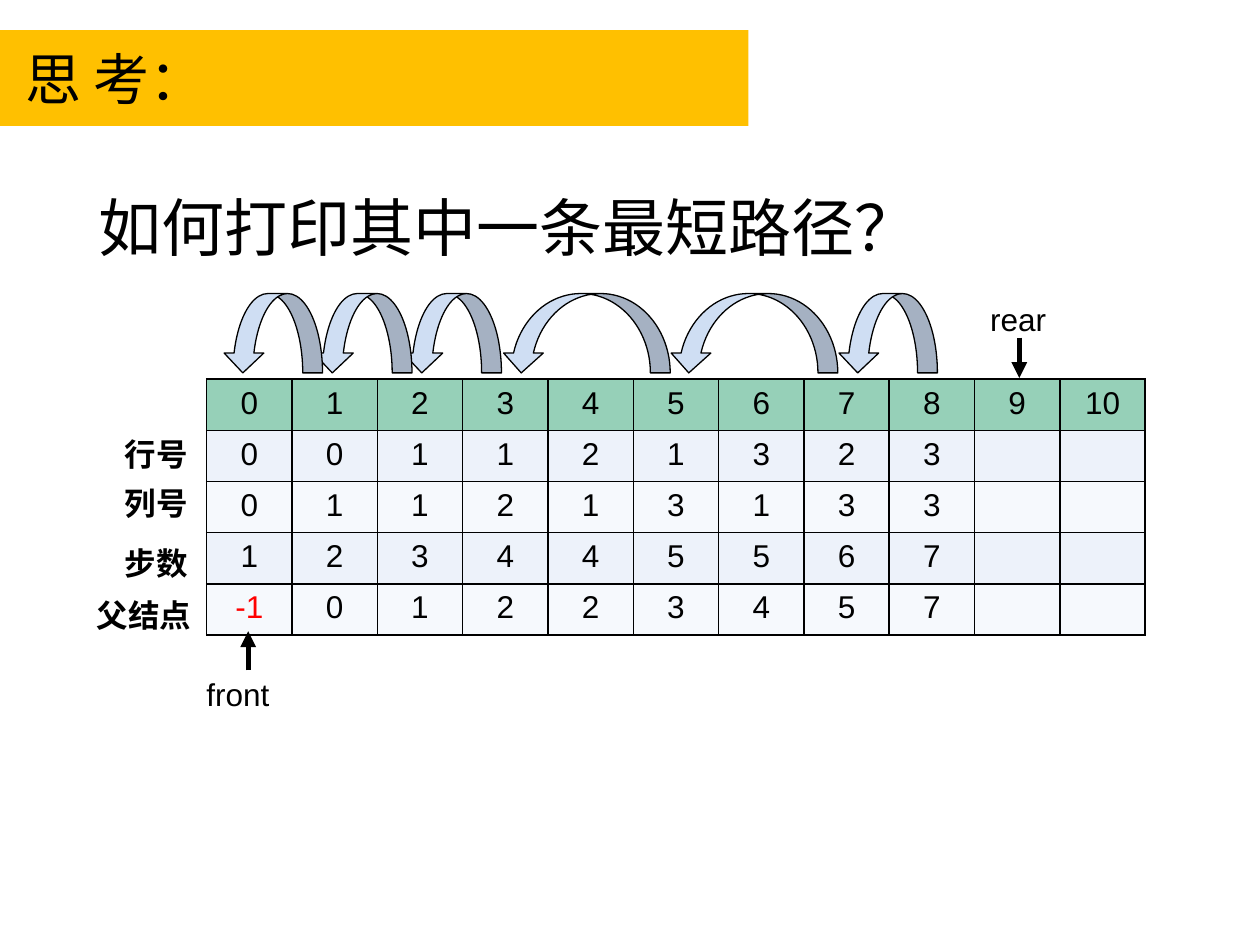
from pptx import Presentation
from pptx.dml.color import RGBColor
from pptx.enum.shapes import MSO_CONNECTOR, MSO_SHAPE
from pptx.enum.text import MSO_ANCHOR, MSO_AUTO_SIZE, PP_ALIGN
from pptx.oxml import parse_xml
from pptx.oxml.ns import nsdecls
from pptx.oxml.xmlchemy import OxmlElement
from pptx.util import Inches, Pt

BLACK = RGBColor(0x00, 0x00, 0x00)
RED = RGBColor(0xFF, 0x00, 0x00)
AMBER = RGBColor(0xFF, 0xC0, 0x00)
GREEN = RGBColor(0x96, 0xD0, 0xB8)
BAND_DARK = RGBColor(0xED, 0xF2, 0xFA)
BAND_LIGHT = RGBColor(0xF6, 0xF9, 0xFD)
ARROW_BLUE = RGBColor(0xCF, 0xDE, 0xF3)
LATIN_FONT, CJK_FONT = "Arial", "Noto Sans CJK SC"

TITLE = "思 考："
QUESTION = "如何打印其中一条最短路径？"
QUEUE = [
    list(range(11)),
    [0, 0, 1, 1, 2, 1, 3, 2, 3],
    [0, 1, 1, 2, 1, 3, 1, 3, 3],
    [1, 2, 3, 4, 4, 5, 5, 6, 7],
    [-1, 0, 1, 2, 2, 3, 4, 5, 7],
]
# text, left, top, width, bold
LABELS = [
    ("行号", 0.89, 3.4, 0.71, True),
    ("列号", 0.89, 3.79, 0.71, True),
    ("步数", 0.89, 4.27, 0.71, True),
    ("父结点", 0.67, 4.68, 0.96, True),
    ("rear", 7.76, 2.33, 0.65, False),
    ("front", 1.54, 5.31, 0.71, False),
]
# x, start y, end y
POINTERS = [(8.09, 2.68, 3), (1.97, 5.32, 5.01)]
# left, width of each hop from a node back to its parent
HOPS = [(6.65, 0.79), (5.31, 1.34), (3.98, 1.34),
        (3.19, 0.79), (2.48, 0.79), (1.77, 0.79)]
TABLE_LEFT, TABLE_TOP, TABLE_WIDTH, TABLE_HEIGHT = 1.64, 3.01, 7.45, 2.03


def write(frame, text, size, font=LATIN_FONT, color=BLACK, bold=False):
    """Fill a frame with one formatted paragraph and return the paragraph."""
    frame.text = text
    paragraph = frame.paragraphs[0]
    for run in paragraph.runs:
        run.font.size = Pt(size)
        run.font.name = font
        run.font.bold = bold
        run.font.color.rgb = color
        east_asian = OxmlElement("a:ea")
        east_asian.set("typeface", CJK_FONT)
        run.font._element.find("{*}latin").addnext(east_asian)
    return paragraph


def add_border(cell):
    for side in ("lnL", "lnR", "lnT", "lnB"):
        cell._tc.get_or_add_tcPr().append(parse_xml(
            f'<a:{side} {nsdecls("a")} w="12700"><a:solidFill>'
            f'<a:srgbClr val="{BLACK}"/></a:solidFill></a:{side}>'))


def add_question(slide):
    box = slide.shapes.add_textbox(Inches(0.35), Inches(1.15), Inches(9.21), Inches(1.34))
    box.text_frame.word_wrap = True
    box.text_frame.margin_left = Inches(0.43)
    write(box.text_frame, QUESTION, 36).line_spacing = 1.5


def add_title(slide):
    banner = slide.shapes.add_shape(
        MSO_SHAPE.RECTANGLE, 0, Inches(0.24), Inches(5.94), Inches(0.76))
    banner.shadow.inherit = False
    banner.fill.solid()
    banner.fill.fore_color.rgb = AMBER
    banner.line.fill.background()
    banner.text_frame.margin_left = Inches(0.2)
    banner.text_frame.vertical_anchor = MSO_ANCHOR.MIDDLE
    write(banner.text_frame, TITLE, 32, CJK_FONT).alignment = PP_ALIGN.LEFT


def add_queue(slide):
    row_count, column_count = len(QUEUE), len(QUEUE[0])
    table = slide.shapes.add_table(
        row_count, column_count, Inches(TABLE_LEFT), Inches(TABLE_TOP),
        Inches(TABLE_WIDTH), Inches(TABLE_HEIGHT)).table
    table.first_row = table.horz_banding = False
    for column in table.columns:
        column.width = Inches(TABLE_WIDTH / column_count)
    for r, values in enumerate(QUEUE):
        fill = GREEN if r == 0 else BAND_DARK if r % 2 else BAND_LIGHT
        for c in range(column_count):
            cell = table.cell(r, c)
            add_border(cell)
            cell.fill.solid()
            cell.fill.fore_color.rgb = fill
            if c < len(values):
                color = RED if values[c] < 0 else BLACK
                paragraph = write(cell.text_frame, str(values[c]), 18, color=color)
                paragraph.alignment = PP_ALIGN.CENTER


def add_labels(slide):
    for text, left, top, width, bold in LABELS:
        label = slide.shapes.add_textbox(Inches(left), Inches(top), Inches(width), Inches(0.4))
        label.text_frame.word_wrap = False
        label.text_frame.auto_size = MSO_AUTO_SIZE.SHAPE_TO_FIT_TEXT
        write(label.text_frame, text, 18, bold=bold)


def add_pointers(slide):
    for x, start, end in POINTERS:
        pointer = slide.shapes.add_connector(
            MSO_CONNECTOR.STRAIGHT, Inches(x), Inches(start), Inches(x), Inches(end))
        pointer.line.color.rgb = BLACK
        pointer.line.width = Pt(3)
        arrowhead = OxmlElement("a:tailEnd")
        arrowhead.set("type", "triangle")
        pointer.line._get_or_add_ln().append(arrowhead)
        pointer._element.spPr.append(OxmlElement("a:effectLst"))


def add_hops(slide):
    for left, width in HOPS:
        hop = slide.shapes.add_shape(
            MSO_SHAPE.CURVED_DOWN_ARROW, Inches(left), Inches(2.33), Inches(width), Inches(0.63))
        hop._element.spPr.get_or_add_xfrm().set("flipH", "1")
        hop.shadow.inherit = False
        hop.fill.solid()
        hop.fill.fore_color.rgb = ARROW_BLUE
        hop.line.color.rgb = BLACK
        hop.line.width = Pt(0.75)


def main():
    deck = Presentation()
    deck.slide_width, deck.slide_height = Inches(10), Inches(7.5)
    slide = deck.slides.add_slide(deck.slide_layouts[6])
    for add_part in (add_question, add_title, add_queue, add_labels, add_pointers, add_hops):
        add_part(slide)
    deck.save("out.pptx")


if __name__ == "__main__":
    main()
